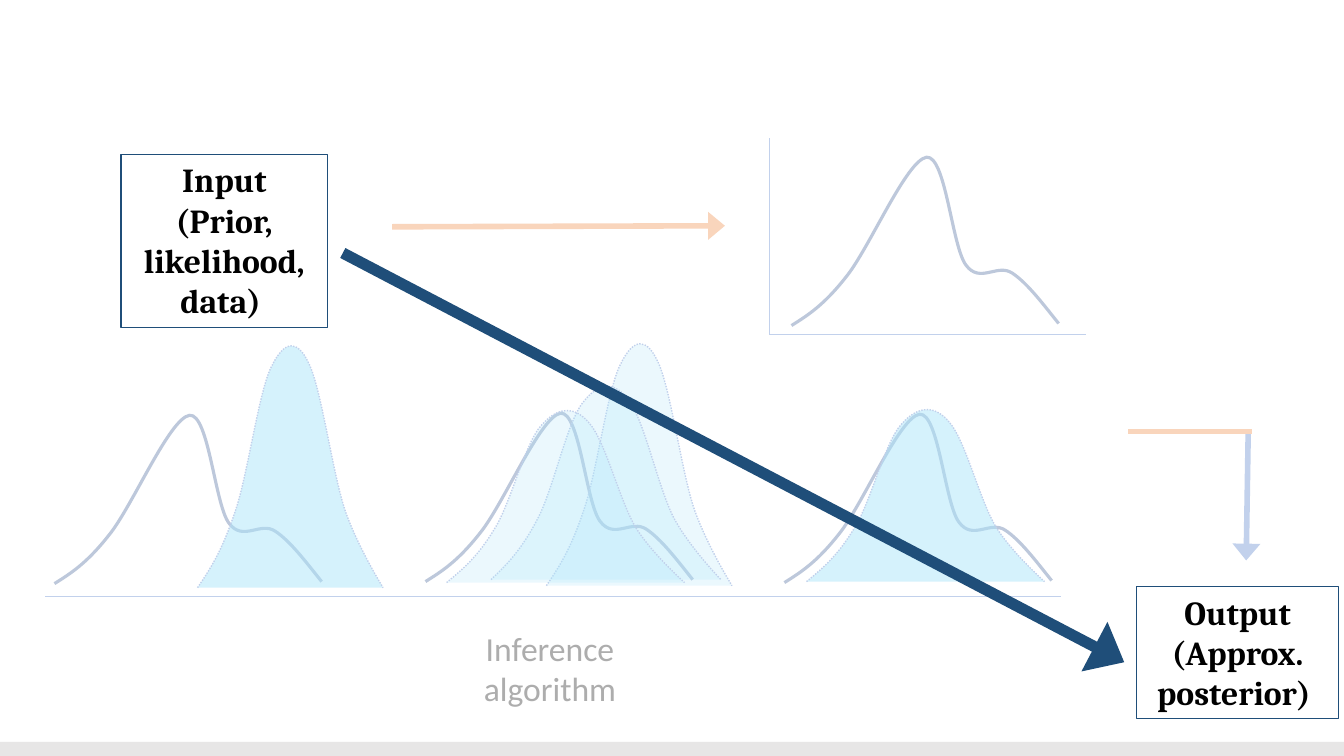
from lxml.etree import SubElement
from pptx import Presentation
from pptx.dml.color import RGBColor
from pptx.enum.dml import MSO_LINE
from pptx.enum.shapes import MSO_CONNECTOR, MSO_SHAPE
from pptx.enum.text import MSO_ANCHOR, MSO_AUTO_SIZE, PP_ALIGN
from pptx.oxml.ns import qn
from pptx.util import Inches, Pt

BLUE, ORANGE, NAVY, SKY = "4472C4", "ED7D31", "1F4E79", "00B0F0"

# Bezier points: a start, then three points for each segment
# Offsets in inches from the curve's left and top
POSTERIOR = [(0, 1.67), (.16, 1.57), (.32, 1.47), (.54, 1.19),
             (.77, .91), (1.14, .03), (1.34, 0), (1.53, -.02),
             (1.59, .88), (1.73, 1.07), (1.87, 1.26), (2.04, 1.05),
             (2.19, 1.15), (2.34, 1.25), (2.49, 1.45), (2.65, 1.65)]
# Shares of the bell's width and height
BELL = [(0, 1), (.07, .92), (.13, .85), (.2, .69),
        (.27, .54), (.33, .18), (.4, .08), (.47, -.03),
        (.54, -.03), (.6, .07), (.67, .18), (.73, .54),
        (.8, .69), (.87, .84), (1, 1), (1, 1)]


def rgb(color):
    return RGBColor.from_string(color)


def set_fill(shape, color, opacity=100):
    shape.fill.solid()
    shape.fill.fore_color.rgb = rgb(color)
    if opacity < 100:
        clr = shape._element.spPr.find(qn("a:solidFill"))[0]
        SubElement(clr, qn("a:alpha"), val=str(opacity * 1000))


def set_line(shape, color, width):
    shape.line.color.rgb = rgb(color)
    shape.line.width = Pt(width)


def add_line(s, start, end, color, width, arrow=False):
    line = s.shapes.add_connector(MSO_CONNECTOR.STRAIGHT,
                                  *map(Inches, start + end))
    set_line(line, color, width)
    sp_pr = line._element.spPr
    if arrow:
        SubElement(sp_pr.find(qn("a:ln")), qn("a:tailEnd"),
                   type="triangle", w="lg", len="med")
    SubElement(sp_pr, qn("a:effectLst"))


def add_panel(s, x, y, w, h, color, opacity=100):
    sp = s.shapes.add_shape(MSO_SHAPE.RECTANGLE, *map(Inches, (x, y, w, h)))
    sp.shadow.inherit = False
    set_fill(sp, color, opacity)
    sp.line.fill.background()


def write_text(sp, paragraphs, font, bold=False):
    tf = sp.text_frame
    tf.word_wrap = True
    tf.auto_size = MSO_AUTO_SIZE.SHAPE_TO_FIT_TEXT
    tf.vertical_anchor = MSO_ANCHOR.TOP
    tf.text = "\n".join(paragraphs)
    for p in tf.paragraphs:
        p.alignment = PP_ALIGN.CENTER
        for r in p.runs:
            r.font.name = font
            r.font.size = Pt(24)
            r.font.bold = bold
            r.font.color.rgb = rgb("000000")


def add_label(s, x, y, w, h, text):
    sp = s.shapes.add_textbox(*map(Inches, (x, y, w, h)))
    write_text(sp, [text], "Calibri")


def add_framed_text(s, x, y, w, h, paragraphs):
    sp = s.shapes.add_shape(MSO_SHAPE.RECTANGLE, *map(Inches, (x, y, w, h)))
    sp.shadow.inherit = False
    sp.fill.background()
    set_line(sp, NAVY, 0.75)
    write_text(sp, paragraphs, "Cambria", bold=True)


def add_curve(s, points, x, y, w, h, unit_w=1, unit_h=1):
    """Add a freeform of cubic Bezier segments that fills the given box."""
    builder = s.shapes.build_freeform(Inches(x), Inches(y))
    builder.add_line_segments([(Inches(x + w), Inches(y + h))], close=False)
    sp = builder.convert_to_shape()
    sp.shadow.inherit = False
    outline = sp._element.spPr.find(".//" + qn("a:path"))
    for child in list(outline):
        outline.remove(child)
    for i in range(0, len(points), 3):
        tag, group = ("a:cubicBezTo", points[i - 2:i + 1]) if i else ("a:moveTo", points[:1])
        step = SubElement(outline, qn(tag))
        for px, py in group:
            SubElement(step, qn("a:pt"), x=str(Inches(px * unit_w)),
                       y=str(Inches(py * unit_h)))
    return sp


def add_posterior(s, x, y):
    sp = add_curve(s, POSTERIOR, x, y, 2.65, 1.67)
    sp.fill.background()
    set_line(sp, "325491", 2.25)


def add_bell(s, x, y, w, h, opacity):
    sp = add_curve(s, BELL, x, y, w, h, w, h)
    set_fill(sp, SKY, opacity)
    set_line(sp, "3F6FC3", 1)
    sp.line.dash_style = MSO_LINE.ROUND_DOT


def main():
    prs = Presentation()
    prs.slide_width, prs.slide_height = Inches(13.33), Inches(7.5)
    s = prs.slides.add_slide(prs.slide_layouts[6])

    add_panel(s, 0, 7.36, 13.33, 0.14, "E7E6E6")
    add_line(s, (10.77, 3.32), (7.63, 3.32), BLUE, 0.5)
    add_line(s, (0.45, 5.92), (10.52, 5.92), BLUE, 0.5)
    add_line(s, (3.89, 2.25), (7.19, 2.24), ORANGE, 4, arrow=True)
    add_line(s, (12.38, 4.28), (12.36, 5.56), BLUE, 4, arrow=True)
    add_line(s, (11.19, 4.28), (12.42, 4.28), ORANGE, 4)
    add_label(s, 4.34, 6.18, 2.23, 0.91, "Inference algorithm")

    for x, y in ((0.54, 4.12), (4.22, 4.1), (7.78, 4.11), (7.85, 1.56)):
        add_posterior(s, x, y)
    add_bell(s, 1.96, 3.44, 1.84, 2.39, 50)
    add_bell(s, 8, 4.07, 2.36, 1.7, 50)
    add_line(s, (7.63, 3.32), (7.63, 1.37), BLUE, 0.5)
    add_bell(s, 5.42, 3.42, 1.84, 2.39, 24)
    add_bell(s, 4.87, 3.84, 2.28, 1.91, 24)
    add_bell(s, 4.43, 4.08, 2.36, 1.7, 24)

    # White veil that fades everything behind the main arrow
    add_panel(s, 0.38, 0.86, 12.95, 6.43, "FFFFFF", 68)
    add_line(s, (3.4, 2.51), (11.15, 6.57), NAVY, 8, arrow=True)
    add_framed_text(s, 1.2, 1.53, 2.05, 1.72,
                    ["Input (Prior, likelihood, data) "])
    add_framed_text(s, 11.27, 5.82, 2.01, 1.31,
                    ["Output (Approx.", "posterior) "])
    prs.save("out.pptx")


if __name__ == "__main__":
    main()
